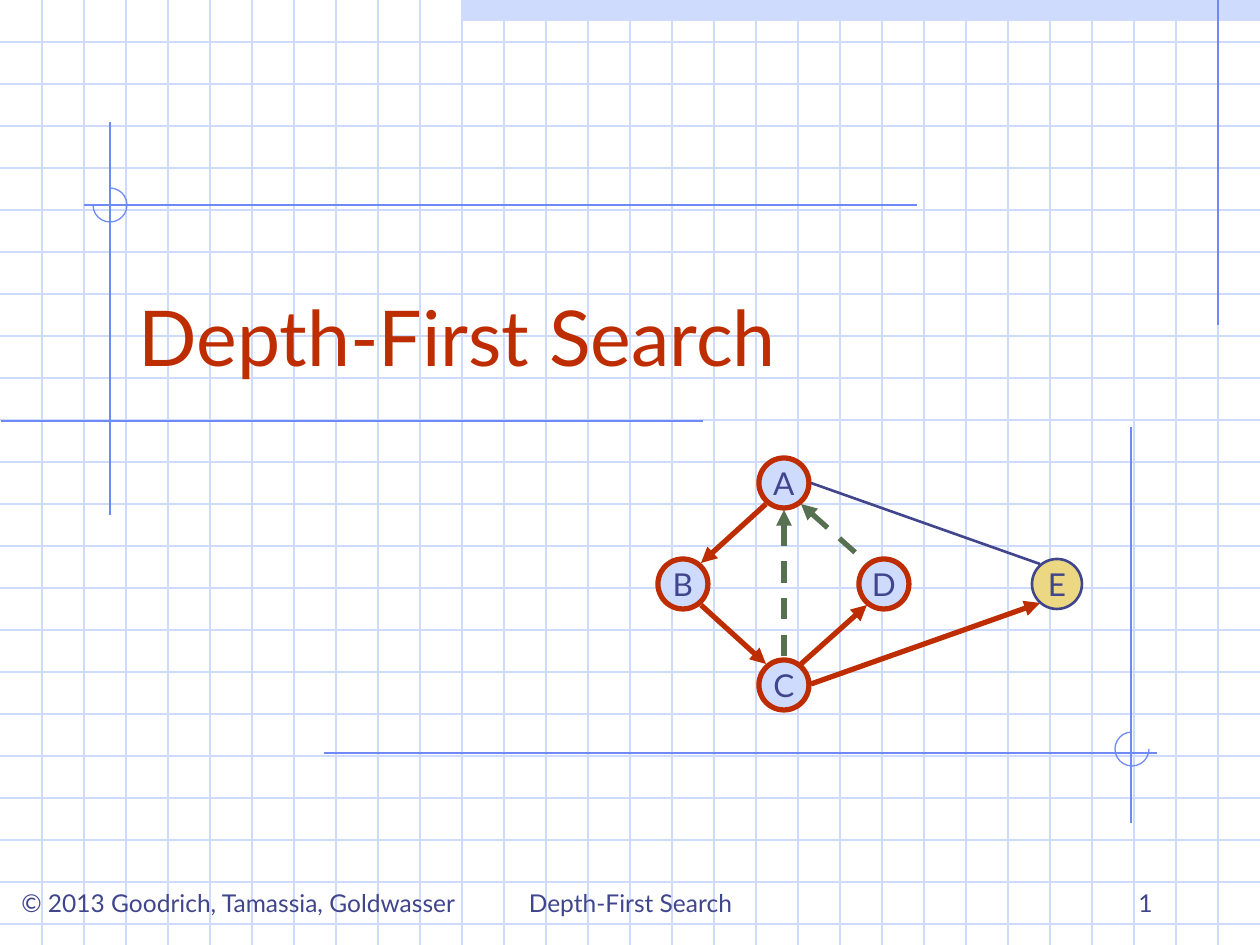
from dataclasses import dataclass
from typing import Optional

from pptx import Presentation
from pptx.dml.color import RGBColor
from pptx.enum.dml import MSO_LINE
from pptx.enum.shapes import MSO_CONNECTOR, MSO_SHAPE
from pptx.enum.text import MSO_ANCHOR, PP_ALIGN
from pptx.oxml.ns import qn
from pptx.util import Emu, Pt
from lxml import etree

STRAIGHT = MSO_CONNECTOR.STRAIGHT
RECT, OVAL, ARC = MSO_SHAPE.RECTANGLE, MSO_SHAPE.OVAL, MSO_SHAPE.ARC
LEFT, CENTER, RIGHT = PP_ALIGN.LEFT, PP_ALIGN.CENTER, PP_ALIGN.RIGHT
TOP, MIDDLE, BOTTOM = MSO_ANCHOR.TOP, MSO_ANCHOR.MIDDLE, MSO_ANCHOR.BOTTOM
DASH = MSO_LINE.DASH

PX_PER_INCH = 126
WIDTH, HEIGHT = 1260, 945
GRID = 42
NODE = 50
FONT = "Lato"
COLORS = {
    "paper": "FFFFFF",
    "pale": "CFDBFD",
    "rule": "6F89F7",
    "ink": "40458C",
    "red": "BE2D00",
    "green": "577052",
    "gold": "ECD882",
}


@dataclass(frozen=True)
class Line:
    x1: int
    y1: int
    x2: int
    y2: int
    color: str = "rule"
    width: float = 0.75
    arrow: Optional[str] = None  # "headEnd" at the start, "tailEnd" at the end
    dashed: bool = False


@dataclass(frozen=True)
class Arc:
    cx: int
    cy: int
    start: int  # degrees, clockwise from the right
    end: int


@dataclass(frozen=True)
class Label:
    text: str
    x: int
    y: int
    w: int
    h: int
    align: PP_ALIGN = CENTER
    anchor: MSO_ANCHOR = BOTTOM
    size: int = 14
    color: str = "ink"
    wrap: bool = True


@dataclass(frozen=True)
class Node:
    name: str
    cx: int
    cy: int
    fill: str = "pale"
    outline: str = "red"
    width: float = 3


RULES = [
    Line(1218, 0, 1218, 325),
    Line(110, 122, 110, 515),
    Line(703, 421, 1, 421),
    Line(917, 205, 84, 205),
    Line(324, 753, 1157, 753),
    Line(1131, 427, 1131, 823),
]
ARCS = [Arc(110, 205, 270, 180), Arc(1132, 749, 0, 270)]
LABELS = [
    Label("© 2013 Goodrich, Tamassia, Goldwasser", -6, 882, 489, 43,
          anchor=TOP, wrap=False),
    Label("Depth-First Search", 431, 861, 399, 63),
    Label("1", 903, 861, 262, 63, align=RIGHT),
    Label("Depth-First Search", 126, 231, 1071, 157, LEFT, size=44, color="red"),
]
NODES = [
    Node("A", 784, 483),
    Node("B", 683, 584),
    Node("C", 784, 685),
    Node("D", 884, 584),
    Node("E", 1057, 584, "gold", "ink", 1.5),
]
EDGES = [
    # Discovery edges
    Line(766, 504, 701, 563, "red", 3, "tailEnd"),
    Line(766, 664, 701, 605, "red", 3, "headEnd"),
    Line(801, 664, 867, 605, "red", 3, "tailEnd"),
    Line(811, 684, 1040, 603, "red", 3, "tailEnd"),
    # Back edges
    Line(801, 504, 867, 563, "green", 3, "headEnd", True),
    Line(784, 510, 784, 656, "green", 3, "headEnd", True),
    # Unexplored edge
    Line(1040, 564, 811, 483, "ink", 1.5),
]


def px(n: float) -> Emu:
    return Emu(round(n * 914400 / PX_PER_INCH))


def rgb(name: str) -> RGBColor:
    return RGBColor.from_string(COLORS[name])


def draw_line(shapes, line: Line) -> None:
    ends = (px(v) for v in (line.x1, line.y1, line.x2, line.y2))
    sp = shapes.add_connector(STRAIGHT, *ends)
    sp.line.color.rgb = rgb(line.color)
    sp.line.width = Pt(line.width)
    if line.dashed:
        sp.line.dash_style = DASH
    sp_pr = sp.element.spPr
    if line.arrow:
        etree.SubElement(sp_pr.find(qn("a:ln")), qn(f"a:{line.arrow}"), type="triangle")
    etree.SubElement(sp_pr, qn("a:effectLst"))


def draw_arc(shapes, arc: Arc) -> None:
    size = 34
    sp = shapes.add_shape(ARC, px(arc.cx - size / 2), px(arc.cy - size / 2),
                          px(size), px(size))
    # Angles are stored in 60000ths of a degree, adjustments in 100000ths
    sp.adjustments[0] = arc.start * 0.6
    sp.adjustments[1] = arc.end * 0.6
    sp.shadow.inherit = False
    sp.fill.background()
    sp.line.color.rgb = rgb("rule")
    sp.line.width = Pt(0.75)


def set_text(sp, text: str, size: int, color: str, align: PP_ALIGN,
             anchor: MSO_ANCHOR, wrap: bool) -> None:
    tf = sp.text_frame
    tf.word_wrap = wrap
    tf.vertical_anchor = anchor
    p = tf.paragraphs[0]
    p.text = text
    p.alignment = align
    p.font.name = FONT
    p.font.size = Pt(size)
    p.font.color.rgb = rgb(color)


def draw_label(shapes, label: Label) -> None:
    sp = shapes.add_textbox(px(label.x), px(label.y), px(label.w), px(label.h))
    set_text(sp, label.text, label.size, label.color, label.align,
             label.anchor, label.wrap)


def draw_node(shapes, node: Node) -> None:
    sp = shapes.add_shape(OVAL, px(node.cx - NODE / 2), px(node.cy - NODE / 2),
                          px(NODE), px(NODE))
    sp.shadow.inherit = False
    sp.fill.solid()
    sp.fill.fore_color.rgb = rgb(node.fill)
    sp.line.color.rgb = rgb(node.outline)
    sp.line.width = Pt(node.width)
    set_text(sp, node.name, 18, "ink", CENTER, MIDDLE, False)


def main() -> None:
    prs = Presentation()
    prs.slide_width, prs.slide_height = px(WIDTH), px(HEIGHT)
    slide = prs.slides.add_slide(prs.slide_layouts[6])
    slide.background.fill.solid()
    slide.background.fill.fore_color.rgb = rgb("paper")
    shapes = slide.shapes

    # Top band and graph-paper grid
    band = shapes.add_shape(RECT, px(462), px(0), px(WIDTH - 462), px(GRID / 2))
    band.shadow.inherit = False
    band.fill.solid()
    band.fill.fore_color.rgb = rgb("pale")
    band.line.fill.background()
    grid = [Line(0, y, WIDTH, y, "pale") for y in range(GRID, HEIGHT, GRID)]
    grid += [Line(x, 0, x, HEIGHT, "pale") for x in range(GRID, WIDTH, GRID)]

    # Drafting rules and their corner arcs
    for line in grid + RULES:
        draw_line(shapes, line)
    for arc in ARCS:
        draw_arc(shapes, arc)

    # Title and footer
    for label in LABELS:
        draw_label(shapes, label)

    # Search graph
    for node in NODES:
        draw_node(shapes, node)
    for edge in EDGES:
        draw_line(shapes, edge)

    prs.save("out.pptx")


if __name__ == "__main__":
    main()
